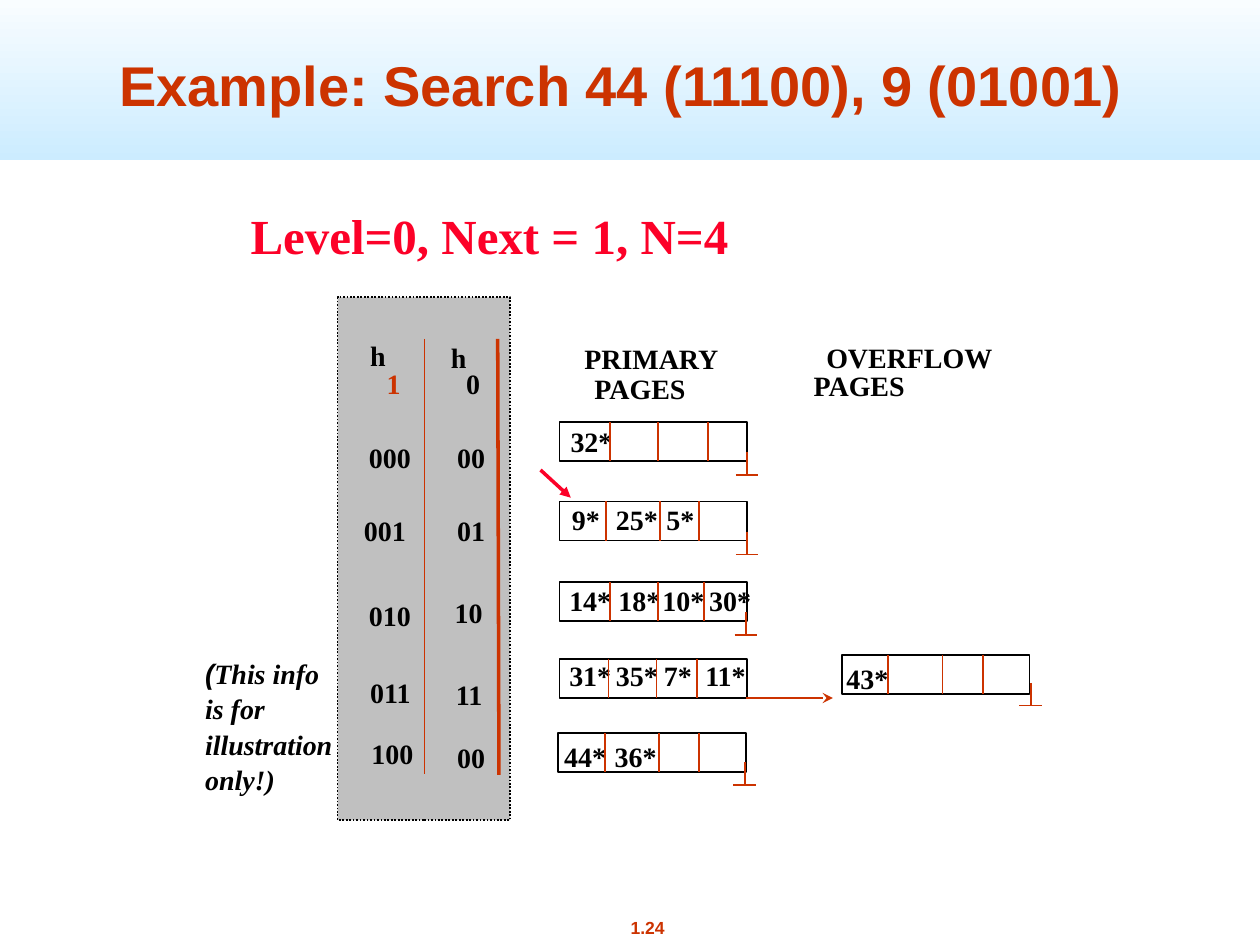
from dataclasses import dataclass
from typing import NamedTuple, Optional

from lxml import etree
from pptx import Presentation
from pptx.dml.color import RGBColor
from pptx.enum.dml import MSO_LINE
from pptx.enum.shapes import MSO_CONNECTOR, MSO_SHAPE
from pptx.enum.text import MSO_ANCHOR, PP_ALIGN
from pptx.oxml.ns import qn
from pptx.util import Inches, Pt

RECTANGLE = MSO_SHAPE.RECTANGLE
STRAIGHT = MSO_CONNECTOR.STRAIGHT
DOTTED = MSO_LINE.ROUND_DOT
CENTER = PP_ALIGN.CENTER
MIDDLE = MSO_ANCHOR.MIDDLE

COLORS = {"rust": "CC3300", "red": "FC0128", "black": "000000",
          "gray": "C0C0C0", "white": "FFFFFF", "sky": "CCECFF"}
SERIF, SANS = "Times New Roman", "Arial"
LABEL_FORMAT = {"name": SERIF, "size": Pt(16), "bold": True}
PAGE_WIDTH, PAGE_HEIGHT = 1.49, 0.31
LABEL_HEIGHT = 0.37


class Label(NamedTuple):
    text: str
    left: float
    top: float
    width: Optional[float] = None
    color: str = "black"


@dataclass
class Page:
    """A bucket page: entries, cell dividers and an end-of-chain mark."""
    left: float
    top: float
    entries: list[tuple[str, float]]
    entry_top: float
    dividers: list[float]
    end_mark: Optional[tuple[float, float]] = None


HEADINGS = [
    Label("h", 3.48, 2.65, 0.33), Label("0", 3.6, 2.86),
    Label("h", 2.84, 2.64, 0.33), Label("1", 2.97, 2.86, color="rust"),
    Label("PRIMARY", 4.54, 2.66, 1.27), Label("PAGES", 4.62, 2.9, 0.94),
    Label("OVERFLOW", 6.46, 2.65, 1.52), Label("PAGES", 6.36, 2.88, 0.94),
]
HASH_VALUES = [
    Label("000", 2.83, 3.45), Label("00", 3.53, 3.45),
    Label("001", 2.79, 4.03), Label("01", 3.53, 4.03),
    Label("010", 2.83, 4.7), Label("10", 3.51, 4.68),
    Label("011", 2.84, 5.31), Label("11", 3.52, 5.33),
    Label("100", 2.85, 5.8), Label("00", 3.53, 5.83),
]
PAGES = [
    Page(4.44, 3.35, [("32*", 4.43)], 3.32, [4.84, 5.22, 5.62], (5.93, 3.77)),
    Page(4.44, 3.98, [("9*", 4.44), ("25*", 4.79), ("5*", 5.19)], 3.94,
         [4.81, 5.24, 5.55], (5.93, 4.4)),
    Page(4.44, 4.62, [("14*", 4.42), ("18*", 4.81), ("10*", 5.16),
                      ("30*", 5.53)], 4.58, [4.84, 5.22, 5.59], (5.92, 5.04)),
    Page(4.44, 5.23, [("31*", 4.42), ("35*", 4.79), ("7*", 5.17),
                      ("11*", 5.5)], 5.18, [4.83, 5.21, 5.53]),
    Page(6.68, 5.2, [("43*", 6.62)], 5.2, [7.05, 7.48, 7.8], (8.18, 5.6)),
    Page(4.43, 5.82, [("44*", 4.38), ("36*", 4.78)], 5.82,
         [4.8, 5.23, 5.55], (5.91, 6.23)),
]


def rgb(name: str) -> RGBColor:
    return RGBColor.from_string(COLORS[name])


def set_font(font, color: str, **formats) -> None:
    for attribute, value in {**LABEL_FORMAT, **formats}.items():
        setattr(font, attribute, value)
    font.color.rgb = rgb(color)


def add_text(slide, box, lines: list[str], color: str, wrap: bool = False,
             alignment=None, **formats):
    """Add a text box with one paragraph a line and return its frame."""
    shape = slide.shapes.add_textbox(*map(Inches, box))
    frame = shape.text_frame
    frame.word_wrap = wrap
    for index, line in enumerate(lines):
        paragraph = frame.add_paragraph() if index else frame.paragraphs[0]
        paragraph.alignment = alignment
        run = paragraph.add_run()
        run.text = line
        set_font(run.font, color, **formats)
    return frame


def add_label(slide, label: Label) -> None:
    width = label.width or 0.2 + 0.11 * len(label.text)
    add_text(slide, (label.left, label.top, width, LABEL_HEIGHT),
             [label.text], label.color)


def add_rectangle(slide, left: float, top: float, width: float, height: float):
    shape = slide.shapes.add_shape(
        RECTANGLE, *map(Inches, (left, top, width, height)))
    shape.shadow.inherit = False
    shape.line.color.rgb = rgb("black")
    shape.line.width = Pt(1)
    return shape


def add_line(slide, start, end, color: str = "rust", width: float = 1,
             arrow: Optional[str] = None) -> None:
    line = slide.shapes.add_connector(STRAIGHT, *map(Inches, (*start, *end)))
    line.line.color.rgb = rgb(color)
    line.line.width = Pt(width)
    properties = line._element.spPr
    if arrow:
        etree.SubElement(properties.find(qn("a:ln")), qn("a:tailEnd"), type=arrow)
    etree.SubElement(properties, qn("a:effectLst"))


def add_page(slide, page: Page) -> None:
    rectangle = add_rectangle(slide, page.left, page.top, PAGE_WIDTH, PAGE_HEIGHT)
    rectangle.fill.background()
    for text, left in page.entries:
        add_label(slide, Label(text, left, page.entry_top))
    for x in page.dividers:
        add_line(slide, (x, page.top), (x, page.top + PAGE_HEIGHT))
    if page.end_mark:
        x, y = page.end_mark
        add_line(slide, (x, y - 0.18), (x, y))
        add_line(slide, (x - 0.09, y), (x + 0.09, y))


def main() -> None:
    presentation = Presentation()
    presentation.slide_width, presentation.slide_height = Inches(10), Inches(7.5)
    slide = presentation.slides.add_slide(presentation.slide_layouts[6])

    # Header band and title
    band = add_rectangle(slide, 0, -0.17, 10, 1.44)
    band.line.fill.background()
    band.fill.gradient()
    band.fill.gradient_angle = 270
    for stop, position, color in zip(band.fill.gradient_stops, (0, 1),
                                     ("white", "sky")):
        stop.position = position
        stop.color.rgb = rgb(color)
    title = add_text(slide, (0.74, 0.24, 8.5, 0.85),
                     ["Example: Search 44 (11100), 9 (01001) "], "rust",
                     wrap=True, alignment=CENTER, name=SANS, size=Pt(32))
    title.vertical_anchor = MIDDLE

    # Page number and state line
    add_text(slide, (4.65, 7.23, 0.98, 0.27), ["1.24"], "rust",
             alignment=CENTER, name=SANS, size=Pt(10))
    add_text(slide, (1.89, 1.58, 3.99, 0.57), ["Level=0, Next = 1, N=4"],
             "red", size=Pt(28))

    # Side note, with its bracket in the sans font
    note = add_text(slide, (1.53, 5.15, 1.55, 1.17),
                    ["(", "is for illustration", "only!)"], "black",
                    wrap=True, italic=True)
    note.paragraphs[0].runs[0].font.name = SANS
    run = note.paragraphs[0].add_run()
    run.text = "This info"
    set_font(run.font, "black", italic=True)
    for paragraph in note.paragraphs:
        paragraph.line_spacing = 1.05

    # Hash value panel
    panel = add_rectangle(slide, 2.68, 2.36, 1.37, 4.15)
    panel.fill.solid()
    panel.fill.fore_color.rgb = rgb("gray")
    panel.line.dash_style = DOTTED
    for label in HEADINGS + HASH_VALUES:
        add_label(slide, label)
    add_line(slide, (3.37, 2.69), (3.37, 6.14))
    add_line(slide, (3.95, 2.69), (3.96, 6.15), width=2)

    # Bucket pages, the Next pointer and the overflow link
    for page in PAGES:
        add_page(slide, page)
    add_line(slide, (4.29, 3.73), (4.53, 3.95), "red", 2, "triangle")
    add_line(slide, (5.92, 5.54), (6.61, 5.54), arrow="stealth")

    presentation.save("out.pptx")


if __name__ == "__main__":
    main()
